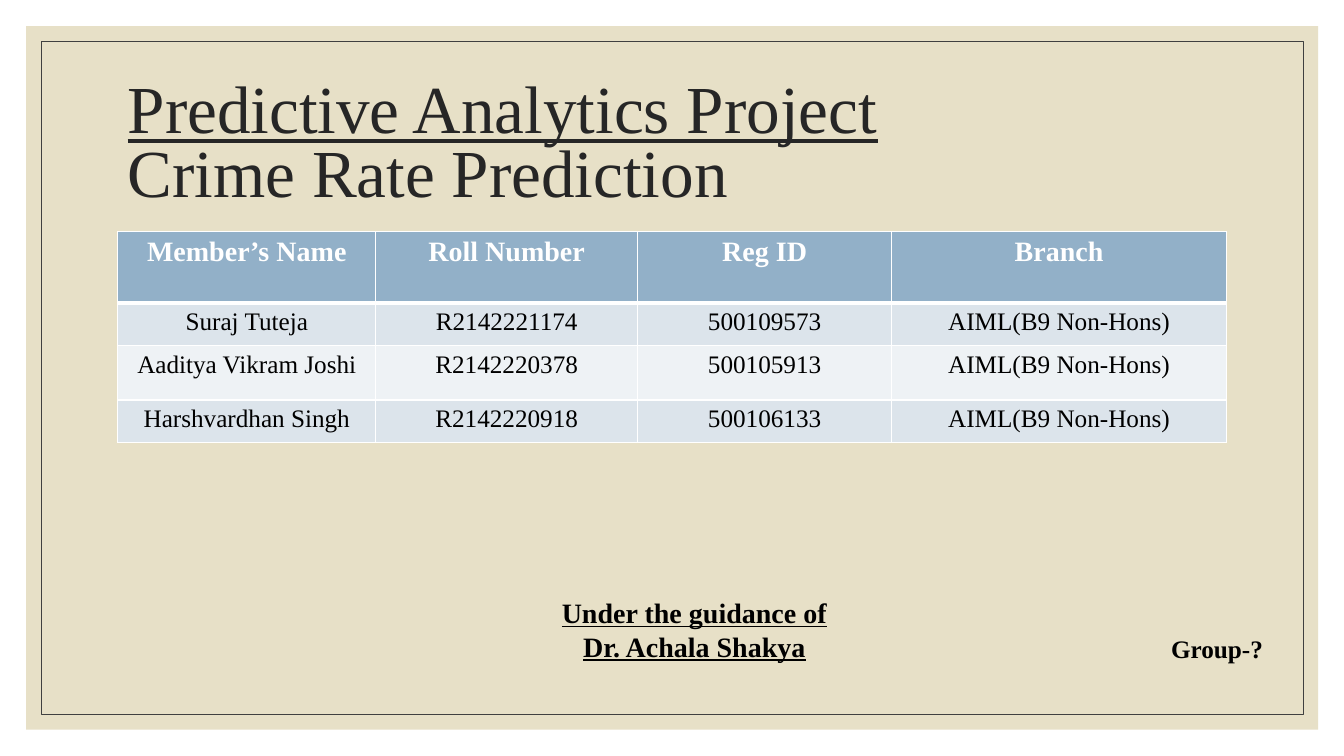
from dataclasses import dataclass

from lxml import etree
from pptx import Presentation
from pptx.dml.color import RGBColor
from pptx.enum.shapes import MSO_SHAPE
from pptx.enum.text import MSO_ANCHOR, PP_ALIGN
from pptx.oxml.ns import qn
from pptx.util import Cm, Pt

RECT = MSO_SHAPE.RECTANGLE
TOP, MIDDLE = MSO_ANCHOR.TOP, MSO_ANCHOR.MIDDLE
LEFT, CENTER, RIGHT = PP_ALIGN.LEFT, PP_ALIGN.CENTER, PP_ALIGN.RIGHT


@dataclass(frozen=True)
class Theme:
    font: str = "Times New Roman"
    paper: str = "E7E0C7"
    frame: str = "404040"
    title: str = "262626"
    ink: str = "000000"
    white: str = "FFFFFF"
    header: str = "92B0C8"
    bands: tuple = ("DCE4EB", "EEF2F5")
    title_size: int = 48
    head_size: int = 20
    body_size: int = 18
    frame_line: float = 0.5
    grid_line: float = 0.96
    header_line: float = 3


class SlideBuilder:
    def __init__(self, prs, theme):
        self.s = prs.slides.add_slide(prs.slide_layouts[6])
        self.theme = theme

    def rect(self, box, fill=None, line=None):
        sp = self.s.shapes.add_shape(RECT, *map(Cm, box))
        sp.shadow.inherit = False
        if fill:
            sp.fill.solid()
            sp.fill.fore_color.rgb = RGBColor.from_string(fill)
        else:
            sp.fill.background()
        if line:
            sp.line.color.rgb = RGBColor.from_string(line)
            sp.line.width = Pt(self.theme.frame_line)
        else:
            sp.line.fill.background()

    def format_text(self, tf, size, color, align, bold=False, underline=False):
        for p in tf.paragraphs:
            p.alignment = align
            for r in p.runs:
                r.font.name = self.theme.font
                r.font.size = Pt(size)
                r.font.bold = bold
                r.font.underline = underline
                r.font.color.rgb = RGBColor.from_string(color)

    def text(self, box, text, size, color, align=LEFT, anchor=TOP, wrap=True, **style):
        tf = self.s.shapes.add_textbox(*map(Cm, box)).text_frame
        tf.word_wrap = wrap
        tf.vertical_anchor = anchor
        tf.text = text
        self.format_text(tf, size, color, align, **style)
        return tf

    def border(self, cell, side, width):
        tc_pr = cell._tc.get_or_add_tcPr()
        ln = etree.SubElement(tc_pr, qn(f"a:ln{side}"), w=str(Pt(width)))
        fill = etree.SubElement(ln, qn("a:solidFill"))
        etree.SubElement(fill, qn("a:srgbClr"), val=self.theme.white)

    def table(self, left, top, widths, heights, rows):
        t = self.theme
        box = left, top, sum(widths), sum(heights)
        table = self.s.shapes.add_table(len(rows), len(widths), *map(Cm, box)).table
        for column, width in zip(table.columns, widths):
            column.width = Cm(width)
        for i, (row, height) in enumerate(zip(rows, heights)):
            table.rows[i].height = Cm(height)
            head = i == 0
            lines = {side: t.grid_line for side in "LRTB"}
            if i < 2:
                lines["B" if head else "T"] = t.header_line
            for j, value in enumerate(row):
                cell = table.cell(i, j)
                for side, width in lines.items():
                    self.border(cell, side, width)
                cell.fill.solid()
                fill = t.header if head else t.bands[(i - 1) % 2]
                cell.fill.fore_color.rgb = RGBColor.from_string(fill)
                cell.text_frame.text = value
                self.format_text(
                    cell.text_frame,
                    t.head_size if head else t.body_size,
                    t.white if head else t.ink,
                    CENTER,
                    bold=head,
                )


def main():
    prs = Presentation()
    prs.slide_width, prs.slide_height = Cm(33.87), Cm(19.05)
    t = Theme()
    s = SlideBuilder(prs, t)

    s.rect((0.66, 0.66, 32.56, 17.73), fill=t.paper)
    s.rect((1.04, 1.04, 31.8, 16.97), line=t.frame)

    title = s.text(
        (2.97, 1.78, 27.94, 3.81),
        "Predictive Analytics Project\vCrime Rate Prediction",
        t.title_size, t.title, anchor=MIDDLE,
    )
    p = title.paragraphs[0]
    p.line_spacing = 0.8
    p.runs[0].font.underline = True

    branch = "AIML(B9 Non-Hons)"
    members = [
        ("Member’s Name", "Roll Number", "Reg ID", "Branch"),
        ("Suraj Tuteja", "R2142221174", "500109573", branch),
        ("Aaditya Vikram Joshi", "R2142220378", "500105913", branch),
        ("Harshvardhan Singh", "R2142220918", "500106133", branch),
    ]
    s.table(2.97, 5.84, (6.5, 6.6, 6.4, 8.44), (1.8, 1.07, 1.37, 1.07), members)

    s.text(
        (11.71, 14.88, 11.58, 1.93),
        "Under the guidance of\nDr. Achala Shakya",
        t.head_size, t.ink, CENTER, bold=True, underline=True,
    )
    s.text(
        (29.26, 15.84, 2.82, 1.02), "Group-?",
        t.body_size, t.ink, RIGHT, wrap=False, bold=True,
    )
    prs.save("out.pptx")


if __name__ == "__main__":
    main()
